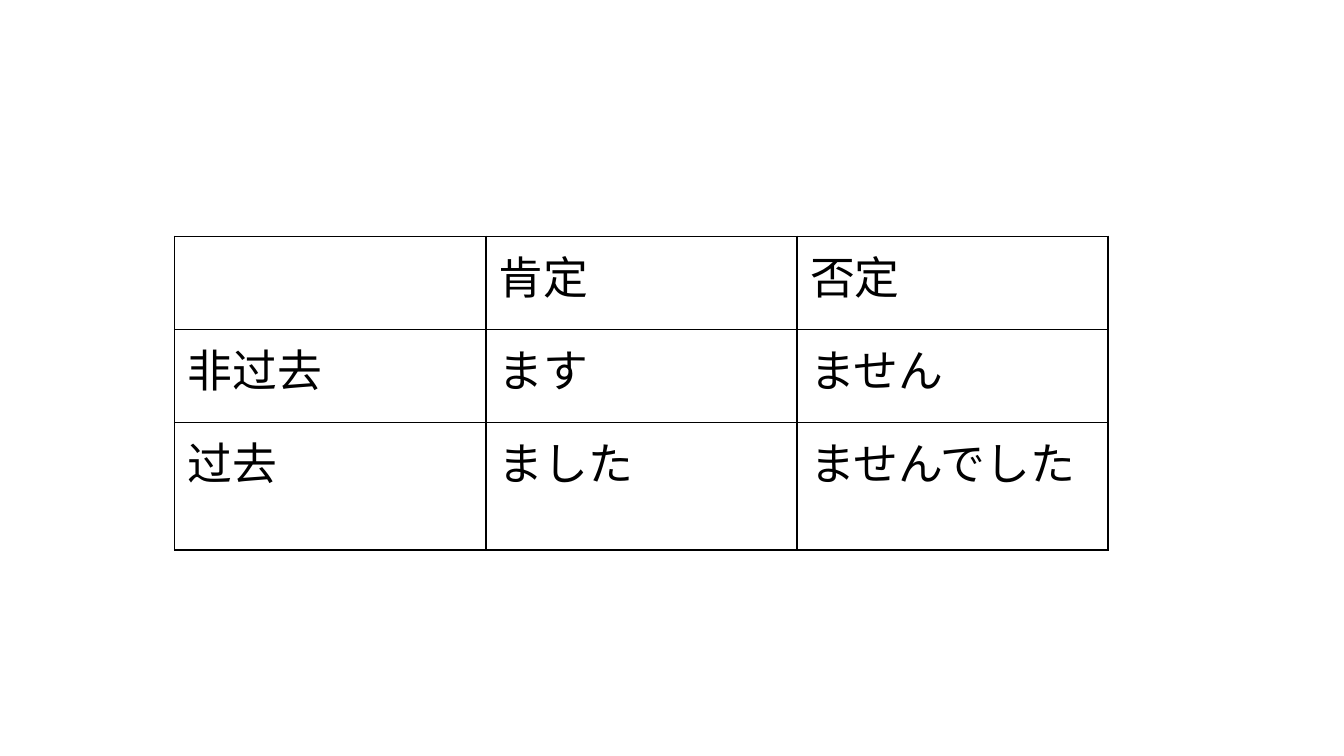
from lxml.etree import SubElement
from pptx import Presentation
from pptx.dml.color import RGBColor
from pptx.oxml.ns import qn
from pptx.util import Cm, Pt

COLORS = {"ink": "000000", "rule": "000000"}

ENDINGS = [
    ["", "肯定", "否定"],
    ["非过去", "ます", "ません"],
    ["过去", "ました", "ませんでした"],
]


def write(frame, text, *, font, size, color):
    if not text:
        return
    run = frame.paragraphs[0].add_run()
    run.text = text
    run.font.name = font
    run.font.size = Pt(size)
    run.font.color.rgb = RGBColor.from_string(color)
    SubElement(run.font._element, qn("a:ea"), typeface=font)


class GrammarSlide:
    font = "Noto Sans CJK SC"
    size = 24
    rule_width = 1

    def __init__(self, slide):
        self.slide = slide

    def border(self, cell):
        properties = cell._tc.get_or_add_tcPr()
        for side in ("lnL", "lnR", "lnT", "lnB"):
            rule = SubElement(properties, qn(f"a:{side}"), w=str(Pt(self.rule_width)))
            fill = SubElement(rule, qn("a:solidFill"))
            SubElement(fill, qn("a:srgbClr"), val=COLORS["rule"])

    def table(self, rows, left, top, column_width, row_heights):
        columns = len(rows[0])
        grid = self.slide.shapes.add_table(
            len(rows), columns, Cm(left), Cm(top),
            Cm(column_width * columns), Cm(sum(row_heights)),
        ).table
        grid.first_row = False
        grid.horz_banding = False
        for column in grid.columns:
            column.width = Cm(column_width)
        for row, height, texts in zip(grid.rows, row_heights, rows):
            row.height = Cm(height)
            for cell, text in zip(row.cells, texts):
                self.border(cell)
                cell.fill.background()
                cell.margin_left = cell.margin_right = Cm(0.25)
                cell.margin_top = cell.margin_bottom = Cm(0.11)
                write(cell.text_frame, text, font=self.font,
                      size=self.size, color=COLORS["ink"])


def main():
    deck = Presentation()
    deck.slide_width, deck.slide_height = Cm(25.4), Cm(14.29)
    page = GrammarSlide(deck.slides.add_slide(deck.slide_layouts[6]))
    page.table(ENDINGS, left=3.3, top=4.47, column_width=5.88,
               row_heights=[1.76, 1.76, 2.41])
    deck.save("out.pptx")


if __name__ == "__main__":
    main()
